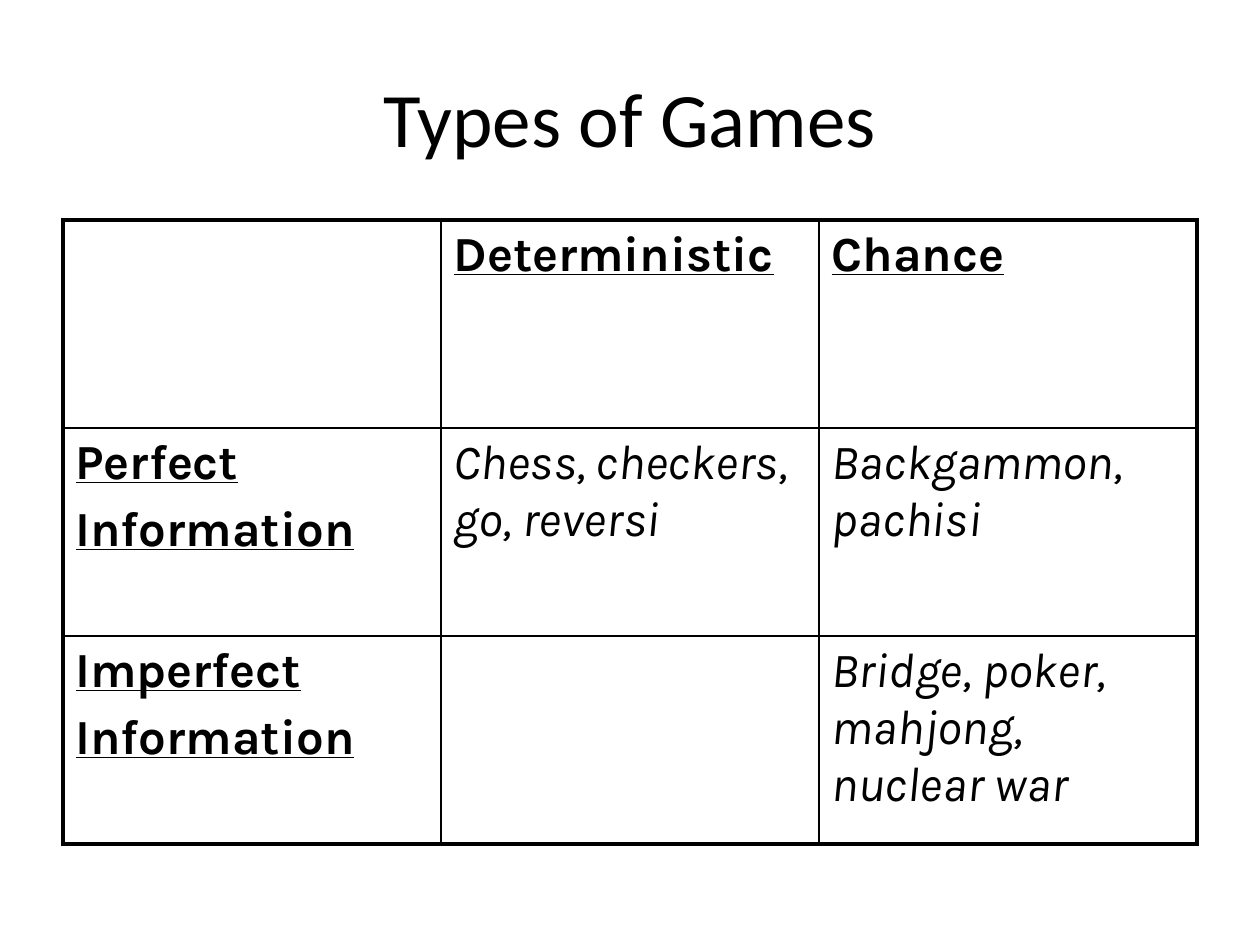
from lxml.etree import SubElement
from pptx import Presentation
from pptx.dml.color import RGBColor
from pptx.enum.text import MSO_ANCHOR, PP_ALIGN
from pptx.oxml.ns import qn
from pptx.util import Pt

EMU_PER_PX = 914400 / 126
BLACK = RGBColor(0, 0, 0)
THICK, THIN = Pt(2.25), Pt(1)
COLUMN_WIDTH, ROW_HEIGHT = 378, 208
HEADING = {"name": "Karla", "size": Pt(28), "bold": True, "underline": True}
EXAMPLE = {"name": "Karla", "size": Pt(28), "italic": True}
ROWS = [
    ["", "Deterministic", "Chance"],
    ["Perfect\nInformation", "Chess, checkers, go, reversi", "Backgammon, pachisi"],
    ["Imperfect\nInformation", "", "Bridge, poker, mahjong, nuclear war"],
]


def px(*lengths):
    return [round(length * EMU_PER_PX) for length in lengths]


def write(paragraph, text, font_format):
    run = paragraph.add_run()
    run.text = text
    run.font.color.rgb = BLACK
    for name, value in font_format.items():
        setattr(run.font, name, value)


presentation = Presentation()
presentation.slide_width, presentation.slide_height = px(1260, 945)
slide = presentation.slides.add_slide(presentation.slide_layouts[6])

title = slide.shapes.add_textbox(*px(63, 38, 1134, 157)).text_frame
title.word_wrap = True
title.vertical_anchor = MSO_ANCHOR.MIDDLE
title.paragraphs[0].alignment = PP_ALIGN.CENTER
write(title.paragraphs[0], "Types of Games", {"name": "Calibri", "size": Pt(44)})

last = len(ROWS) - 1
table = slide.shapes.add_table(
    3, 3, *px(63, 220, 3 * COLUMN_WIDTH, 3 * ROW_HEIGHT)
).table
for row_index, texts in enumerate(ROWS):
    for column_index, text in enumerate(texts):
        cell = table.cell(row_index, column_index)
        is_heading = row_index == 0 or column_index == 0

        outer_edges = {
            "a:lnL": column_index == 0,
            "a:lnR": column_index == last,
            "a:lnT": row_index == 0,
            "a:lnB": row_index == last,
        }
        properties = cell._tc.get_or_add_tcPr()
        for tag, is_outer in outer_edges.items():
            border = SubElement(properties, qn(tag), w=str(THICK if is_outer else THIN))
            fill = SubElement(border, qn("a:solidFill"))
            SubElement(fill, qn("a:srgbClr"), val=str(BLACK))
        cell.fill.background()

        if text:
            cell.text_frame.text = text
            for paragraph in cell.text_frame.paragraphs:
                line = paragraph.text
                paragraph.clear()
                paragraph.space_before = Pt(5.6)
                write(paragraph, line, HEADING if is_heading else EXAMPLE)

presentation.save("out.pptx")
